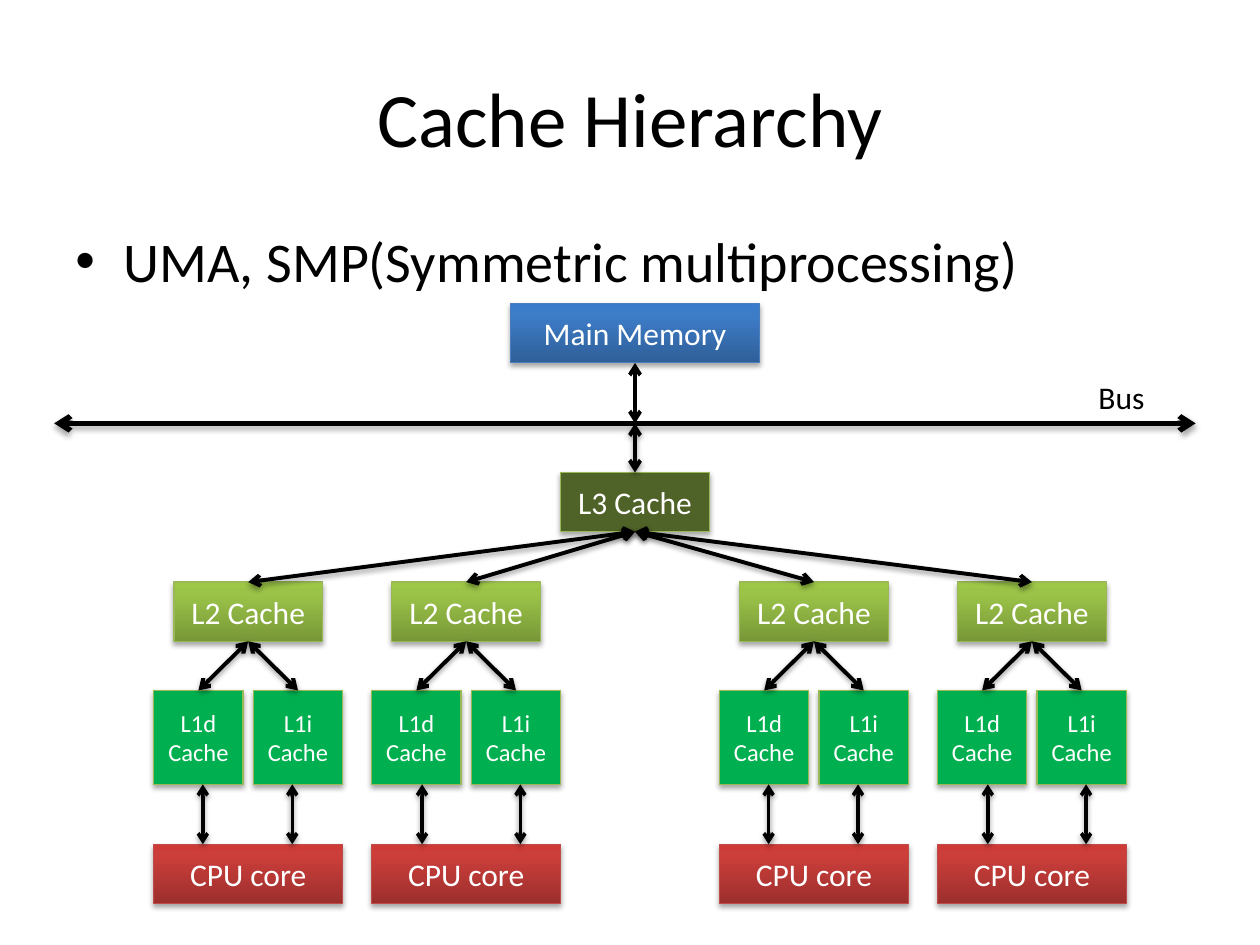
"""Build a slide showing the cache hierarchy of a symmetric multiprocessor."""
from dataclasses import dataclass
from typing import NamedTuple, Optional

from lxml.etree import SubElement
from pptx import Presentation
from pptx.dml.color import RGBColor
from pptx.enum.shapes import MSO_CONNECTOR as Connector, MSO_SHAPE as Shape
from pptx.enum.text import MSO_ANCHOR as Anchor, PP_ALIGN as Align
from pptx.oxml.ns import qn
from pptx.util import Inches, Pt

COLUMNS, ROWS = 100, 75
WIDTH, HEIGHT = Inches(10), Inches(7.5)
TOP, BOTTOM = 0, 2


@dataclass(frozen=True)
class Theme:
    """Colours and type sizes of the slide."""
    font: str = "Calibri"
    ink: str = "000000"
    paper: str = "FFFFFF"
    title: int = 44
    body: int = 32
    label: int = 18
    small: int = 14


class Shadow(NamedTuple):
    """Soft shadow cast downwards, in percent and points."""
    opacity: int
    blur: float
    distance: float


class BoxStyle(NamedTuple):
    """Fill stops from bottom to top, outline and type size of a box."""
    fill: tuple[str, ...]
    outline: str
    size: int


class Area(NamedTuple):
    """A rectangle in grid columns and rows."""
    left: float
    top: float
    width: float
    height: float

    def lengths(self):
        """Return the rectangle in slide units."""
        return (across(self.left), down(self.top), across(self.width), down(self.height))


THEME = Theme()
BOX_SHADOW = Shadow(35, 3.1, 1.8)
ARROW_SHADOW = Shadow(38, 3.1, 1.6)
MEMORY = BoxStyle(("2F5F99", "3D7CC7", "3A7CCB"), "4B7EBC", THEME.label)
LEVEL_3 = BoxStyle(("4F6228",), "98B955", THEME.label)
LEVEL_2 = BoxStyle(("779737", "9BC348", "9DC746"), "98B955", THEME.label)
LEVEL_1 = BoxStyle(("00B050",), "98B955", THEME.small)
CORE = BoxStyle(("9C2F2D", "CB3E3A", "CE3B37"), "BF4C48", THEME.label)

CENTRE = 50.4
BUS_ROW, L3_ROW, L2_ROW, L1_ROW, CORE_ROW = 33.6, 37.5, 46.2, 54.8, 67
BOX_HEIGHT, L1_HEIGHT = 4.7, 7.45
CACHE_WIDTH, L1_WIDTH, CORE_WIDTH = 11.8, 7.1, 15
CORE_PORTS = ((12.2, (3.9, 11)), (29.5, (4, 11.8)), (57.1, (3.9, 11)), (74.4, (4, 11.8)))


def across(columns: float) -> int:
    """Convert grid columns to a length."""
    return round(WIDTH * columns / COLUMNS)


def down(rows: float) -> int:
    """Convert grid rows to a length."""
    return round(HEIGHT * rows / ROWS)


def write(shape, text: str, *, size: int, color: str = THEME.ink, align=Align.LEFT,
          anchor=Anchor.TOP, wrap: bool = True, bullet: bool = False) -> None:
    """Put one formatted paragraph into a shape."""
    frame = shape.text_frame
    frame.word_wrap = wrap
    frame.vertical_anchor = anchor
    paragraph = frame.paragraphs[0]
    paragraph.text = text
    paragraph.alignment = align
    if bullet:
        properties = paragraph._p.get_or_add_pPr()
        properties.set("marL", str(Inches(0.38)))
        properties.set("indent", str(Inches(-0.38)))
        SubElement(properties, qn("a:buFont"), typeface="Arial")
        SubElement(properties, qn("a:buChar"), char="•")
    paragraph.font.name = THEME.font
    paragraph.font.size = Pt(size)
    paragraph.font.color.rgb = RGBColor.from_string(color)


def add_text(slide, text: str, area: Area, **formatting) -> None:
    """Add a text box."""
    write(slide.shapes.add_textbox(*area.lengths()), text, **formatting)


def add_color(parent, color: str):
    """Append an RGB colour element."""
    return SubElement(parent, qn("a:srgbClr"), val=color)


def cast_shadow(effects, shadow: Shadow) -> None:
    """Fill an effect list with an outer shadow."""
    outer = SubElement(effects, qn("a:outerShdw"), blurRad=str(Pt(shadow.blur)),
                       dist=str(Pt(shadow.distance)), dir="5400000", rotWithShape="0")
    SubElement(add_color(outer, THEME.ink), qn("a:alpha"), val=str(shadow.opacity * 1000))


def add_box(slide, text: str, area: Area, style: BoxStyle):
    """Add a labelled rectangle with a shadow."""
    box = slide.shapes.add_shape(Shape.RECTANGLE, *area.lengths())
    properties = box._element.spPr
    if len(style.fill) == 1:
        box.fill.solid()
        box.fill.fore_color.rgb = RGBColor.from_string(style.fill[0])
    else:
        box.fill.gradient()
        box.fill.gradient_angle = 90
        stops = properties.find(".//" + qn("a:gsLst"))
        for stop in list(stops):
            stops.remove(stop)
        for position, color in zip((0, 80, 100), style.fill):
            add_color(SubElement(stops, qn("a:gs"), pos=str(position * 1000)), color)
    box.line.color.rgb = RGBColor.from_string(style.outline)
    box.line.width = Pt(0.75)
    box.shadow.inherit = False
    cast_shadow(properties.find(qn("a:effectLst")), BOX_SHADOW)
    write(box, text, size=style.size, color=THEME.paper, align=Align.CENTER,
          anchor=Anchor.MIDDLE)
    return box


def add_arrow(slide, start: tuple, end: tuple, *, width: float = 2.25,
              shadow: Optional[Shadow] = ARROW_SHADOW) -> None:
    """Add a two-headed arrow; each end is a grid point or a (box, side) pair."""
    points = [(0, 0) if hasattr(place, "shape_id") else (across(place), down(value))
              for place, value in (start, end)]
    arrow = slide.shapes.add_connector(Connector.STRAIGHT, *points[0], *points[1])
    for (place, side), connect in ((start, arrow.begin_connect), (end, arrow.end_connect)):
        if hasattr(place, "shape_id"):
            connect(place, side)
    arrow.line.color.rgb = RGBColor.from_string(THEME.ink)
    arrow.line.width = Pt(width)
    for tip in ("a:headEnd", "a:tailEnd"):
        SubElement(arrow.line._get_or_add_ln(), qn(tip), type="arrow")
    effects = SubElement(arrow._element.spPr, qn("a:effectLst"))
    if shadow:
        cast_shadow(effects, shadow)


def add_core(slide, left: float, ports: tuple, level_3) -> None:
    """Add one processor core with its private caches and links."""
    inset = (CORE_WIDTH - CACHE_WIDTH) / 2
    add_box(slide, "CPU core", Area(left, CORE_ROW, CORE_WIDTH, BOX_HEIGHT), CORE)
    level_2 = add_box(slide, "L2 Cache",
                      Area(left + inset, L2_ROW, CACHE_WIDTH, BOX_HEIGHT), LEVEL_2)
    add_arrow(slide, (level_2, TOP), (level_3, BOTTOM))
    offsets = (0, CORE_WIDTH - L1_WIDTH)
    for name, offset, port in zip(("L1d Cache", "L1i Cache"), offsets, ports):
        level_1 = add_box(slide, name,
                          Area(left + offset, L1_ROW, L1_WIDTH, L1_HEIGHT), LEVEL_1)
        add_arrow(slide, (level_1, TOP), (level_2, BOTTOM))
        add_arrow(slide, (left + port, L1_ROW + L1_HEIGHT), (left + port, CORE_ROW), width=2)


def main() -> None:
    """Build and save the slide."""
    presentation = Presentation()
    presentation.slide_width, presentation.slide_height = WIDTH, HEIGHT
    slide = presentation.slides.add_slide(presentation.slide_layouts[6])
    add_text(slide, "Cache Hierarchy", Area(5, 3, 90, 12.5), size=THEME.title,
             align=Align.CENTER, anchor=Anchor.MIDDLE)
    add_text(slide, "UMA, SMP(Symmetric multiprocessing)", Area(5, 17.5, 90, 49.5),
             size=THEME.body, bullet=True)
    memory = add_box(slide, "Main Memory", Area(40.5, 24.1, 19.8, BOX_HEIGHT), MEMORY)
    add_arrow(slide, (4.3, BUS_ROW), (94.9, BUS_ROW), width=3, shadow=BOX_SHADOW)
    add_text(slide, "Bus", Area(86.2, 29.5, 5.7, 4), size=THEME.label, wrap=False)
    level_3 = add_box(slide, "L3 Cache",
                      Area(CENTRE - CACHE_WIDTH / 2, L3_ROW, CACHE_WIDTH, BOX_HEIGHT), LEVEL_3)
    add_arrow(slide, (memory, BOTTOM), (CENTRE, BUS_ROW), shadow=None)
    add_arrow(slide, (level_3, TOP), (CENTRE, BUS_ROW))
    for left, ports in CORE_PORTS:
        add_core(slide, left, ports, level_3)
    presentation.save("out.pptx")


if __name__ == "__main__":
    main()
